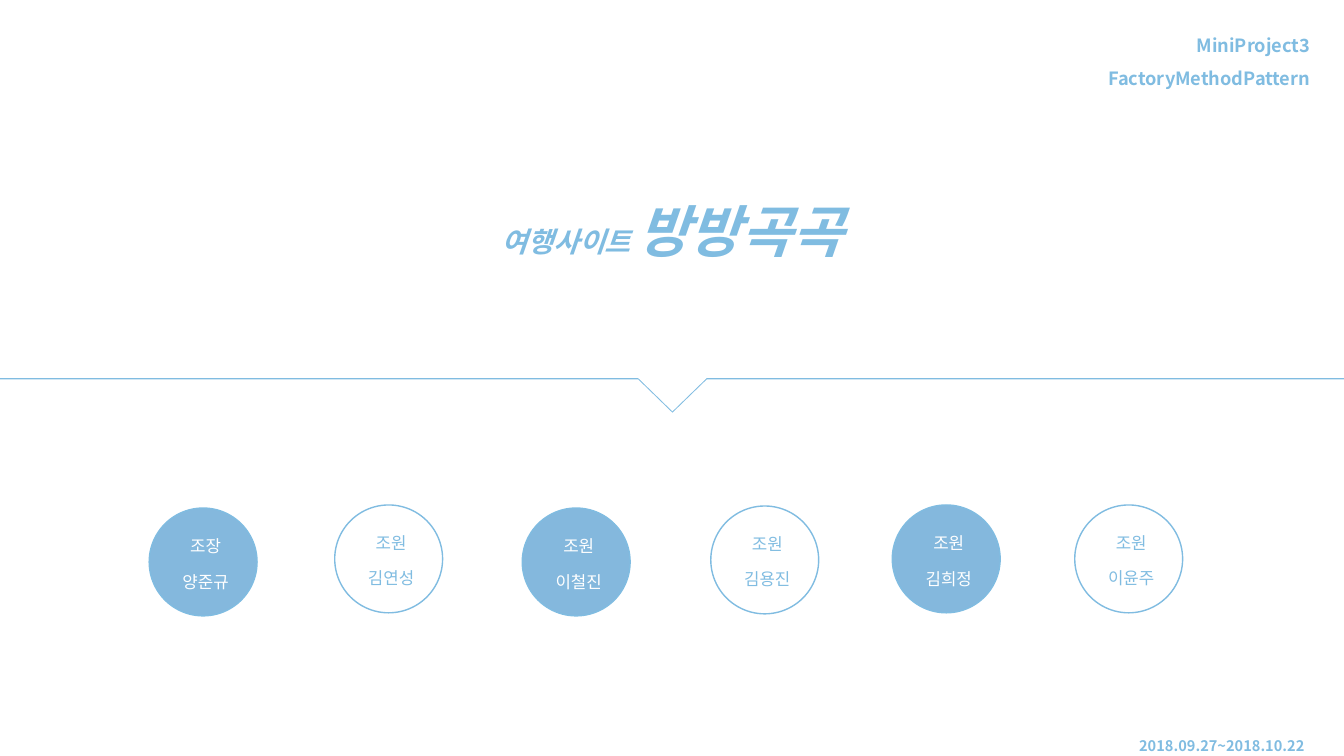
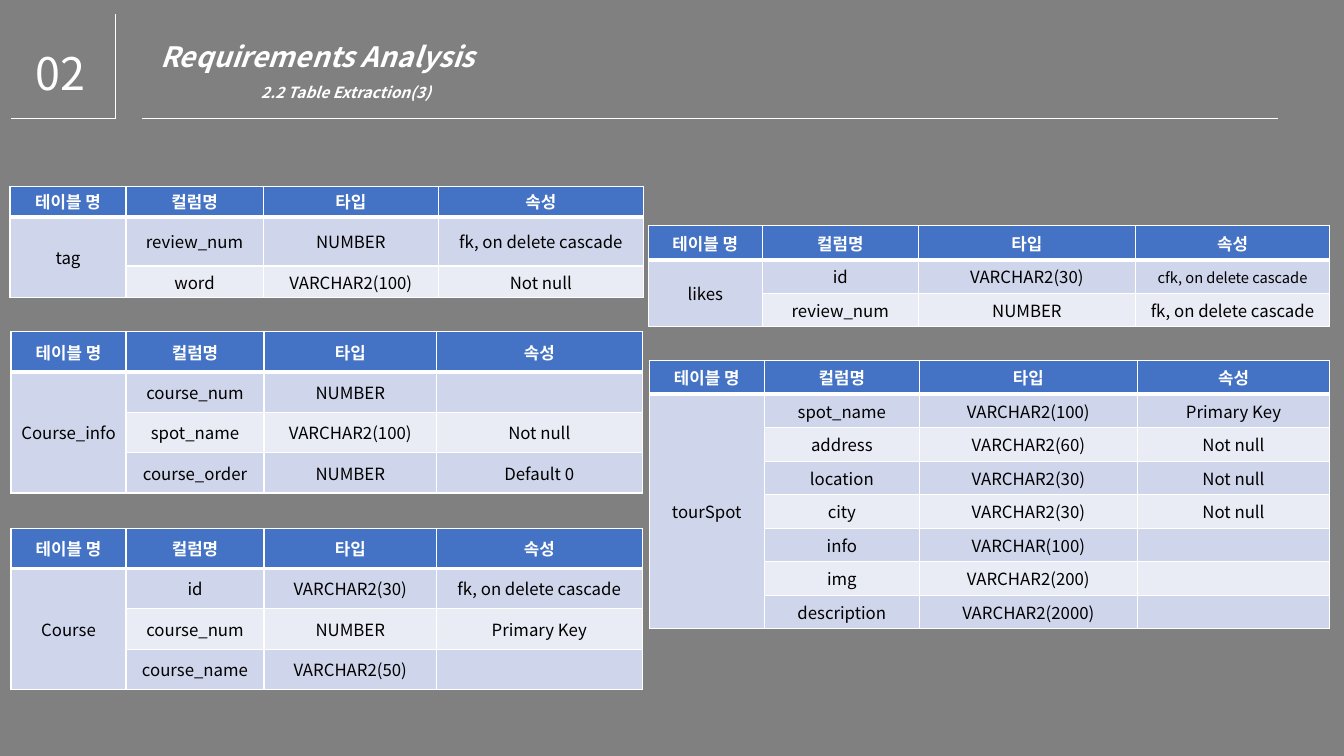
"""Build the team cover and the table extraction slide of the travel site deck."""

import dataclasses
import typing

import lxml.etree
import pptx
import pptx.dml.color
import pptx.enum.shapes
import pptx.enum.text
import pptx.oxml.ns
import pptx.util

Inches = pptx.util.Inches
Pt = pptx.util.Pt
Align = pptx.enum.text.PP_ALIGN
Anchor = pptx.enum.text.MSO_ANCHOR
Color = pptx.dml.color.RGBColor
qn = pptx.oxml.ns.qn


@dataclasses.dataclass(frozen=True)
class Theme:
    font: str = "Noto Sans CJK KR"
    sky: str = "80BCE1"
    badge: str = "84B8DD"
    white: str = "FFFFFF"
    black: str = "000000"
    gray: str = "808080"
    header: str = "4472C4"
    bands: tuple[str, str] = ("CFD5EA", "E9EBF5")
    hero: float = 40
    number: float = 32
    title: float = 20
    date: float = 18
    course: float = 13
    body: float = 12
    subtitle: float = 11
    compact: float = 10.5


THEME = Theme()


@dataclasses.dataclass(frozen=True)
class Span:
    text: str
    size: float
    color: str
    bold: bool = False
    italic: bool = False
    baseline: int = 0


@dataclasses.dataclass(frozen=True)
class Line:
    spans: tuple[Span, ...]
    align: typing.Any = Align.LEFT
    spacing: float = 1.5
    indent: float = 0


@dataclasses.dataclass(frozen=True)
class Member:
    role: str
    name: str
    left: float
    top: float
    filled: bool


@dataclasses.dataclass(frozen=True)
class Schema:
    name: str
    left: float
    top: float
    widths: tuple[float, ...]
    heights: tuple[float, ...]
    columns: tuple[tuple[str, str, str], ...]


HEADINGS = ("테이블 명", "컬럼명", "타입", "속성")
CASCADE = "fk, on delete cascade"
COMPACT_CASCADE = "cfk, on delete cascade"
COURSE_WIDTHS = (1.14, 1.37, 1.71, 2.04)

MEMBERS = (
    Member("조장", "양준규", 1.48, 5.04, True),
    Member("조원", "김연성", 3.32, 5.01, False),
    Member("조원", "이철진", 5.18, 5.04, True),
    Member("조원", "김용진", 7.05, 5.02, False),
    Member("조원", "김희정", 8.85, 5.01, True),
    Member("조원", "이윤주", 10.66, 5.01, False),
)

SCHEMAS = (
    Schema("likes", 6.43, 2.24, (1.13, 1.55, 2.15, 1.93), (0.34, 0.33, 0.33), (
        ("id", "VARCHAR2(30)", COMPACT_CASCADE),
        ("review_num", "NUMBER", CASCADE),
    )),
    Schema("Course_info", 0.11, 3.29, COURSE_WIDTHS, (0.4,) * 4, (
        ("course_num", "NUMBER", ""),
        ("spot_name", "VARCHAR2(100)", "Not null"),
        ("course_order", "NUMBER", "Default 0"),
    )),
    Schema("tag", 0.1, 1.85, (1.15, 1.36, 1.74, 2.03), (0.3, 0.49, 0.31), (
        ("review_num", "NUMBER", CASCADE),
        ("word", "VARCHAR2(100)", "Not null"),
    )),
    Schema("Course", 0.11, 5.24, COURSE_WIDTHS, (0.4,) * 4, (
        ("id", "VARCHAR2(30)", CASCADE),
        ("course_num", "NUMBER", "Primary Key"),
        ("course_name", "VARCHAR2(50)", ""),
    )),
    Schema("tourSpot", 6.44, 3.58, (1.14, 1.54, 2.16, 1.91), (2.66 / 8,) * 8, (
        ("spot_name", "VARCHAR2(100)", "Primary Key"),
        ("address", "VARCHAR2(60)", "Not null"),
        ("location", "VARCHAR2(30)", "Not null"),
        ("city", "VARCHAR2(30)", "Not null"),
        ("info", "VARCHAR(100)", ""),
        ("img", "VARCHAR2(200)", ""),
        ("description", "VARCHAR2(2000)", ""),
    )),
)


def apply_format(target: typing.Any, values: dict[str, typing.Any]) -> None:
    for name, value in values.items():
        setattr(target, name, value)


def paint(fill: typing.Any, color: str) -> None:
    fill.solid()
    fill.fore_color.rgb = Color.from_string(color)


def add_node(parent: typing.Any, tag: str, **values: typing.Any) -> typing.Any:
    attributes = {name: str(value) for name, value in values.items()}
    return lxml.etree.SubElement(parent, qn(tag), attributes)


def add_color(parent: typing.Any, color: str) -> None:
    add_node(parent, "a:srgbClr", val=color)


def add_span(para: typing.Any, span: Span) -> None:
    run = para.add_run()
    run.text = span.text
    apply_format(run.font, {
        "name": THEME.font,
        "size": Pt(span.size),
        "bold": span.bold,
        "italic": span.italic,
    })
    run.font.color.rgb = Color.from_string(span.color)
    properties = run._r.get_or_add_rPr()
    add_node(properties, "a:ea", typeface=THEME.font)
    if span.baseline:
        properties.set("baseline", str(span.baseline * 1000))


def add_text(shapes: typing.Any, left: float, top: float, width: float, height: float,
             lines: tuple[Line, ...], wrap: bool = True) -> None:
    box = shapes.add_textbox(Inches(left), Inches(top), Inches(width), Inches(height))
    frame = box.text_frame
    apply_format(frame, {
        "word_wrap": wrap,
        "auto_size": pptx.enum.text.MSO_AUTO_SIZE.SHAPE_TO_FIT_TEXT,
    })
    for index, line in enumerate(lines):
        para = frame.add_paragraph() if index else frame.paragraphs[0]
        apply_format(para, {"alignment": line.align, "line_spacing": line.spacing})
        if line.indent:
            para._p.get_or_add_pPr().set("marL", str(Inches(line.indent)))
        for span in line.spans:
            add_span(para, span)


def add_rule(shapes: typing.Any, x1: float, y1: float, x2: float, y2: float) -> None:
    rule = shapes.add_connector(
        pptx.enum.shapes.MSO_CONNECTOR.STRAIGHT,
        Inches(x1), Inches(y1), Inches(x2), Inches(y2))
    rule.line.width = Pt(0.5)
    rule.line.color.rgb = Color.from_string(THEME.white)
    add_node(rule._element.spPr, "a:effectLst")


def add_notched_panel(shapes: typing.Any) -> None:
    points = ((13.33, 0), (13.33, 3.75), (7.01, 3.75), (6.67, 4.08), (6.33, 3.75), (0, 3.75))
    builder = shapes.build_freeform(0, 0)
    builder.add_line_segments([(Inches(x), Inches(y)) for x, y in points], close=True)
    panel = builder.convert_to_shape()
    paint(panel.fill, THEME.white)
    panel.line.fill.background()
    effects = add_node(panel._element.spPr, "a:effectLst")
    shadow = add_node(effects, "a:outerShdw", blurRad=0, dist=Pt(1), dir=90 * 60000,
                      algn="t", rotWithShape=0)
    add_color(shadow, THEME.sky)


def add_member(shapes: typing.Any, member: Member) -> None:
    group = shapes.add_group_shape().shapes
    circle = group.add_shape(
        pptx.enum.shapes.MSO_SHAPE.OVAL,
        Inches(member.left), Inches(member.top), Inches(1.07), Inches(1.07))
    circle.shadow.inherit = False
    paint(circle.fill, THEME.badge if member.filled else THEME.white)
    circle.line.width = Pt(1)
    circle.line.color.rgb = Color.from_string(THEME.sky)
    color = THEME.white if member.filled else THEME.sky
    name_offset = 0.48 if member.filled else 0.47
    for text, offset in ((member.role, 0.13), (member.name, name_offset)):
        add_text(group, member.left + 0.19, member.top + offset, 0.74, 0.4,
                 (Line((Span(text, THEME.body, color),), Align.CENTER),))


def format_cell(cell: typing.Any, text: str, row: int) -> None:
    apply_format(cell, {
        "vertical_anchor": Anchor.MIDDLE,
        "margin_left": Inches(0.05),
        "margin_right": Inches(0.05),
        "margin_top": Inches(0.02),
        "margin_bottom": Inches(0.02),
    })
    borders = {"L": 1, "R": 1, "T": 3 if row == 1 else 1, "B": 1 if row else 3}
    properties = cell._tc.get_or_add_tcPr()
    for side, width in borders.items():
        border = add_node(properties, f"a:ln{side}", w=Pt(width))
        add_color(add_node(border, "a:solidFill"), THEME.white)
    paint(cell.fill, THEME.bands[(row - 1) % 2] if row else THEME.header)
    para = cell.text_frame.paragraphs[0]
    para.alignment = Align.CENTER
    if text:
        size = THEME.compact if text == COMPACT_CASCADE else THEME.body
        add_span(para, Span(text, size, THEME.black if row else THEME.white, bold=row == 0))
    else:
        add_node(para._p, "a:endParaRPr", sz=int(THEME.body * 100))


def add_schema(shapes: typing.Any, schema: Schema) -> None:
    rows = [HEADINGS]
    rows += [("" if index else schema.name, *column)
             for index, column in enumerate(schema.columns)]
    table = shapes.add_table(
        len(rows), len(HEADINGS), Inches(schema.left), Inches(schema.top),
        Inches(sum(schema.widths)), Inches(sum(schema.heights))).table
    for column, width in zip(table.columns, schema.widths):
        column.width = Inches(width)
    for row, height in zip(table.rows, schema.heights):
        row.height = Inches(height)
    for row, texts in enumerate(rows):
        for column, text in enumerate(texts):
            format_cell(table.cell(row, column), text, row)
    table.cell(1, 0).merge(table.cell(len(rows) - 1, 0))


def add_page(deck: typing.Any, background: str) -> typing.Any:
    page = deck.slides.add_slide(deck.slide_layouts[6])
    paint(page.background.fill, background)
    return page.shapes


def build_cover(deck: typing.Any) -> None:
    shapes = add_page(deck, THEME.white)
    add_notched_panel(shapes)
    add_text(shapes, 3.72, 1.57, 5.9, 1.11, (Line((
        Span("여행사이트 ", THEME.title, THEME.sky, True, True),
        Span("방방곡곡", THEME.hero, THEME.sky, True, True),
    ), Align.CENTER),))
    add_text(shapes, 10.85, 0.18, 2.24, 1.09, tuple(
        Line((Span(text, THEME.course, THEME.sky, True),), Align.RIGHT)
        for text in ("MiniProject3", "FactoryMethodPattern")))
    for member in MEMBERS:
        add_member(shapes, member)
    date = Span("2018.09.27~2018.10.22", THEME.date, THEME.sky, True, baseline=-25)
    add_text(shapes, 11.2, 7.09, 2.07, 0.3, (Line((date,), spacing=1.0),), wrap=False)


def build_tables(deck: typing.Any) -> None:
    shapes = add_page(deck, THEME.gray)
    corner = shapes.add_group_shape().shapes
    add_rule(corner, 0.11, 1.17, 1.15, 1.17)
    add_rule(corner, 1.14, 0.14, 1.14, 1.18)
    add_text(shapes, 0.25, 0.14, 0.85, 0.9,
             (Line((Span("02", THEME.number, THEME.white),)),))
    add_rule(shapes, 1.41, 1.17, 12.68, 1.17)
    add_text(shapes, 1.49, 0.18, 5.9, 0.88, (
        Line((Span("Requirements Analysis", THEME.title, THEME.white, True, True),)),
        Line((Span("2.2 Table Extraction(3)", THEME.subtitle, THEME.white, True, True),),
             indent=1),
    ))
    for schema in SCHEMAS:
        add_schema(shapes, schema)


def main() -> None:
    deck = pptx.Presentation()
    apply_format(deck, {"slide_width": Inches(13.33), "slide_height": Inches(7.5)})
    build_cover(deck)
    build_tables(deck)
    deck.save("out.pptx")


if __name__ == "__main__":
    main()
